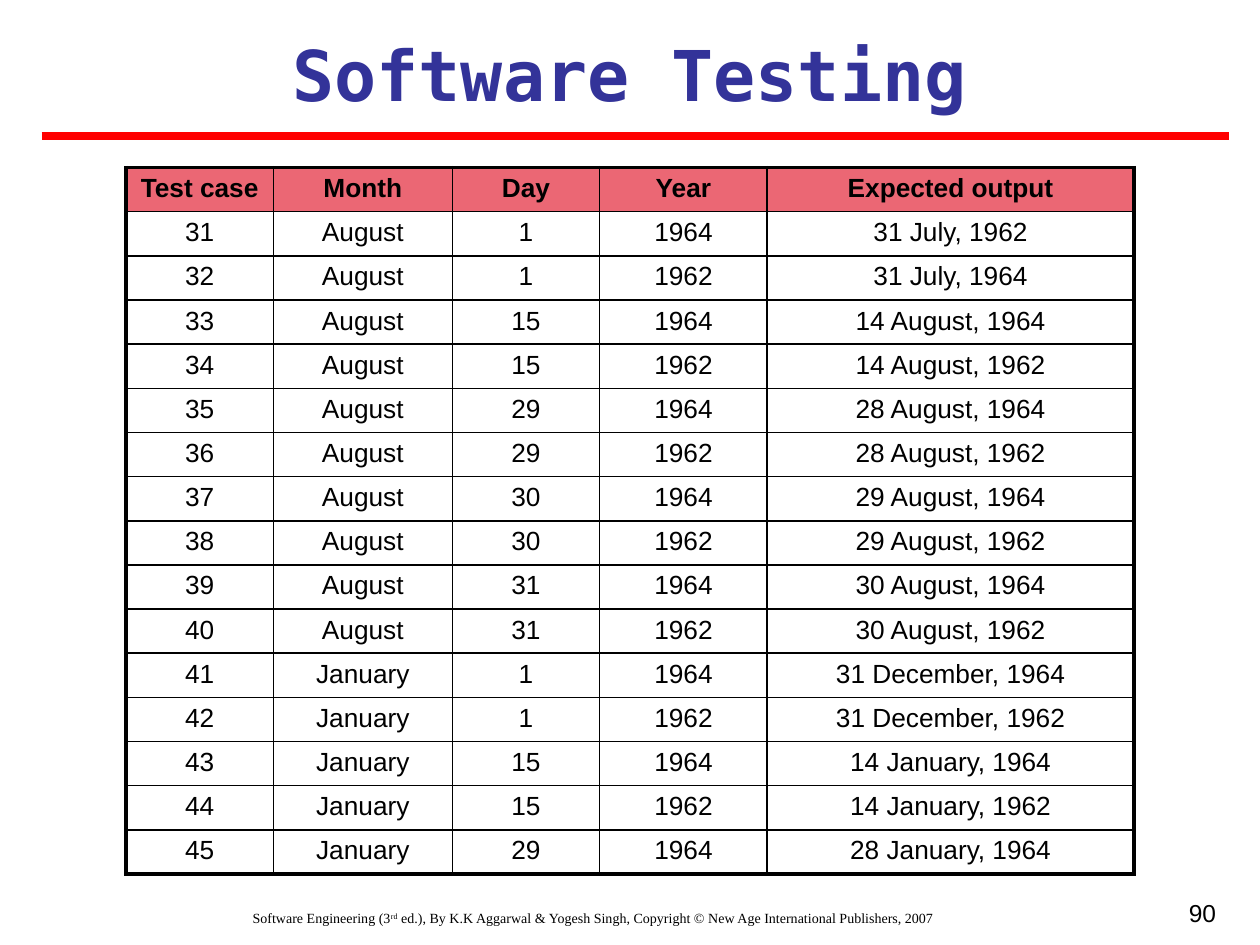
from lxml.etree import SubElement
from pptx import Presentation
from pptx.dml.color import RGBColor
from pptx.enum.shapes import MSO_CONNECTOR
from pptx.enum.text import MSO_ANCHOR, MSO_AUTO_SIZE, PP_ALIGN
from pptx.oxml.ns import qn
from pptx.util import Inches, Pt

BLACK = RGBColor(0x00, 0x00, 0x00)
NAVY = RGBColor(0x33, 0x33, 0x99)
RED = RGBColor(0xFF, 0x00, 0x00)
ROSE = RGBColor(0xEB, 0x67, 0x74)

HEADS = ["Test case", "Month", "Day", "Year", "Expected output"]
CASES = [
    ("August", 1, 1964, "31 July, 1962"),
    ("August", 1, 1962, "31 July, 1964"),
    ("August", 15, 1964, "14 August, 1964"),
    ("August", 15, 1962, "14 August, 1962"),
    ("August", 29, 1964, "28 August, 1964"),
    ("August", 29, 1962, "28 August, 1962"),
    ("August", 30, 1964, "29 August, 1964"),
    ("August", 30, 1962, "29 August, 1962"),
    ("August", 31, 1964, "30 August, 1964"),
    ("August", 31, 1962, "30 August, 1962"),
    ("January", 1, 1964, "31 December, 1964"),
    ("January", 1, 1962, "31 December, 1962"),
    ("January", 15, 1964, "14 January, 1964"),
    ("January", 15, 1962, "14 January, 1962"),
    ("January", 29, 1964, "28 January, 1964"),
]
WIDTHS = [1.17, 1.42, 1.17, 1.33, 2.91]


def write(frame, text, size=15, font="Arial", color=BLACK, bold=False,
          align=PP_ALIGN.CENTER, raised=False):
    """Add a run to the first paragraph of a text frame."""
    frame.word_wrap = True
    para = frame.paragraphs[0]
    para.alignment = align
    run = para.add_run()
    run.text = text
    run.font.size = Pt(size)
    run.font.name = font
    run.font.bold = bold
    run.font.color.rgb = color
    if raised:
        run._r.get_or_add_rPr().set("baseline", "30000")


def edge(cell, side, width):
    """Draw one black border of a table cell."""
    line = SubElement(cell._tc.get_or_add_tcPr(), qn(f"a:ln{side}"), w=str(Pt(width)))
    fill = SubElement(line, qn("a:solidFill"))
    SubElement(fill, qn("a:srgbClr"), val=str(BLACK))


deck = Presentation()
deck.slide_width, deck.slide_height = Inches(10), Inches(7.5)
slide = deck.slides.add_slide(deck.slide_layouts[5])

# Footer
box = slide.shapes.add_textbox(Inches(0.25), Inches(7.17), Inches(8.92), Inches(0.33))
serif = {"size": 8, "font": "Times New Roman"}
write(box.text_frame, "Software Engineering (3", **serif)
write(box.text_frame, "rd", raised=True, **serif)
write(box.text_frame, " ed.), By K.K Aggarwal & Yogesh Singh, "
      "Copyright © New Age International Publishers, 2007", **serif)

# Page number
box = slide.shapes.add_textbox(Inches(7.42), Inches(7.08), Inches(2.33), Inches(0.59))
write(box.text_frame, "90", size=14, align=PP_ALIGN.RIGHT)

# Title
title = slide.shapes.title
title.left, title.top = Inches(0.33), Inches(0.14)
title.width, title.height = Inches(9.33), Inches(0.77)
frame = title.text_frame
frame.auto_size = MSO_AUTO_SIZE.NONE
frame.vertical_anchor = MSO_ANCHOR.TOP
frame.margin_top = Inches(0.11)
frame.margin_bottom = 0
write(frame, "Software Testing", size=40, font="DejaVu Sans Mono", color=NAVY, bold=True)

# Red rule
rule = slide.shapes.add_connector(
    MSO_CONNECTOR.STRAIGHT, Inches(0.33), Inches(1.08), Inches(9.75), Inches(1.08))
rule.line.color.rgb = RED
rule.line.width = Pt(4.5)
SubElement(rule._element.spPr, qn("a:effectLst"))

# Test case table, numbered from 31
rows = [HEADS] + [(num, *case) for num, case in enumerate(CASES, 31)]
table = slide.shapes.add_table(
    len(rows), len(HEADS), Inches(1), Inches(1.33), Inches(8), Inches(5.6)).table
table.first_row = table.horz_banding = False
for col, width in zip(table.columns, WIDTHS):
    col.width = Inches(width)
for r, row in enumerate(rows):
    table.rows[r].height = Inches(0.35)
    for c, value in enumerate(row):
        cell = table.cell(r, c)
        write(cell.text_frame, str(value), bold=r == 0)
        outer = {"L": c == 0, "R": c == len(HEADS) - 1,
                 "T": r == 0, "B": r == len(rows) - 1}
        for side, thick in outer.items():
            edge(cell, side, 2.25 if thick else 1)
        if r == 0:
            cell.fill.solid()
            cell.fill.fore_color.rgb = ROSE
        else:
            cell.fill.background()

deck.save("out.pptx")
